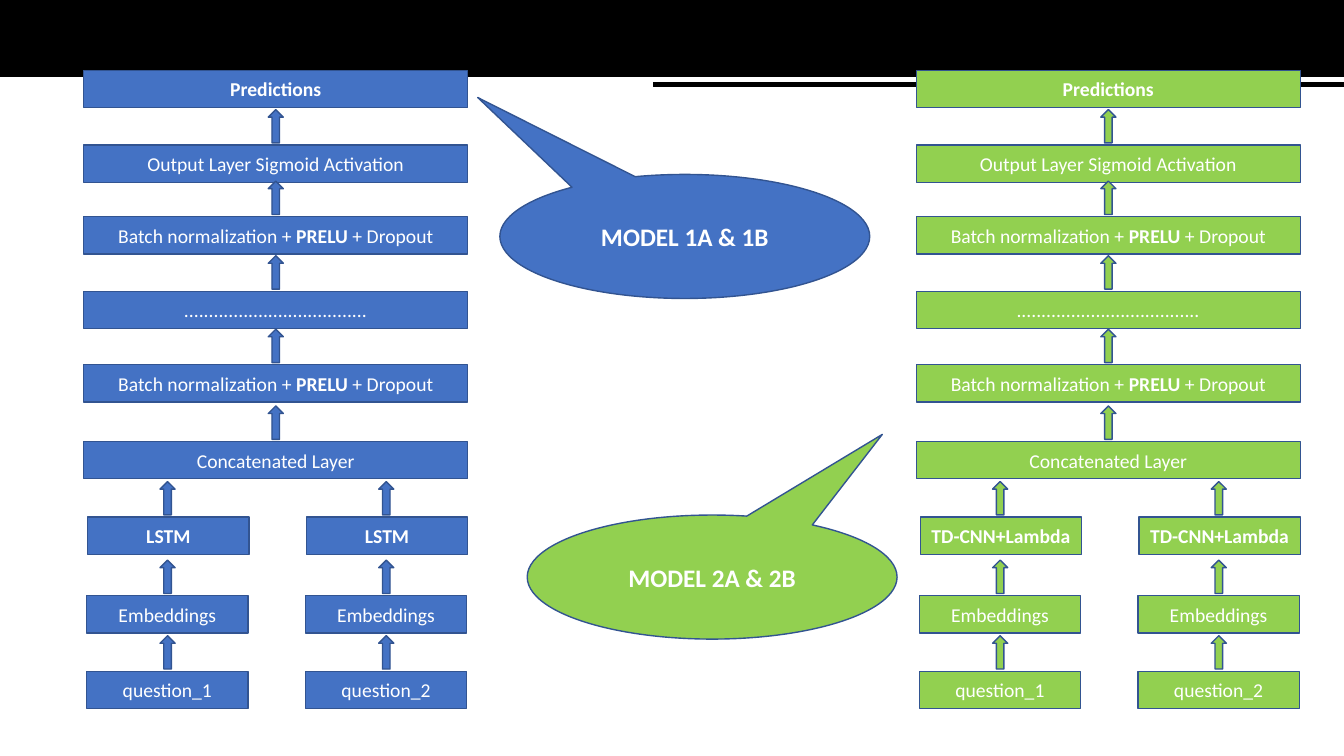
from pptx import Presentation
from pptx.dml import color
from pptx.enum import shapes, text
from pptx.util import Pt

COLORS = {
    "black": "000000",
    "white": "FFFFFF",
    "blue": "4472C4",
    "green": "92D050",
    "outline": "325491",
}
FONT = "Calibri"
SHAPE = shapes.MSO_SHAPE

BOX_HEIGHT = 26.6
LAYER_WIDTH = 274.3
BRANCH_WIDTH = 115.2
BRANCH_STEP = 156.2
ARROW_WIDTH, ARROW_HEIGHT = 10.8, 23.8
ARROW_RISE = 25.4
LAYER_ARROW_OFFSET = 131.8
BRANCH_ARROW_OFFSET = 54.5

ACTIVATION = [("Batch normalization + ", False), ("PRELU", True), (" + Dropout", False)]
LAYERS = [
    (50.4, [("Predictions", True)]),
    (103.7, [("Output Layer Sigmoid Activation", False)]),
    (154.8, ACTIVATION),
    (208.1, [("." * 37, False)]),
    (260.6, ACTIVATION),
    (315.4, [("Concatenated Layer", False)]),
]
ENCODER_TOP, EMBEDDING_TOP, QUESTION_TOP = 369.4, 425.5, 479.5


def rgb(name):
    return color.RGBColor.from_string(COLORS[name])


def add_block(slide, kind, left, top, width, height, fill, line="outline"):
    shape = slide.shapes.add_shape(kind, Pt(left), Pt(top), Pt(width), Pt(height))
    shape.shadow.inherit = False
    shape.fill.solid()
    shape.fill.fore_color.rgb = rgb(fill)
    shape.line.color.rgb = rgb(line)
    shape.line.width = Pt(1)
    return shape


def write_label(shape, runs, size):
    frame = shape.text_frame
    frame.word_wrap = True
    frame.margin_left = frame.margin_right = Pt(4)
    frame.vertical_anchor = text.MSO_ANCHOR.MIDDLE
    paragraph = frame.paragraphs[0]
    paragraph.alignment = text.PP_ALIGN.CENTER
    for content, bold in runs:
        run = paragraph.add_run()
        run.text = content
        run.font.name = FONT
        run.font.size = Pt(size)
        run.font.bold = bold
        run.font.color.rgb = rgb("white")


def add_box(slide, left, top, width, fill, runs):
    box = add_block(slide, SHAPE.RECTANGLE, left, top, width, BOX_HEIGHT, fill)
    write_label(box, runs, 14)


def add_arrow_above(slide, left, box_top, fill):
    add_block(slide, SHAPE.UP_ARROW, left, box_top - ARROW_RISE,
              ARROW_WIDTH, ARROW_HEIGHT, fill)


def add_callout(slide, left, top, fill, label, tip):
    callout = add_block(slide, SHAPE.OVAL_CALLOUT, left, top, 264.2, 88.6, fill)
    callout.adjustments[0], callout.adjustments[1] = tip
    write_label(callout, [(label, True)], 18)


def add_branch(slide, left, fill, encoder, question):
    rows = [
        (ENCODER_TOP, 2.9, encoder, True),
        (EMBEDDING_TOP, 2.2, "Embeddings", False),
        (QUESTION_TOP, 2.2, question, False),
    ]
    for top, indent, label, bold in rows:
        add_box(slide, left + indent, top, BRANCH_WIDTH, fill, [(label, bold)])
        add_arrow_above(slide, left + BRANCH_ARROW_OFFSET, top, fill)


def add_model(slide, left, fill, encoder):
    for index, (top, runs) in enumerate(LAYERS):
        add_box(slide, left, top, LAYER_WIDTH, fill, runs)
        if index:
            add_arrow_above(slide, left + LAYER_ARROW_OFFSET, top, fill)
    for index, question in enumerate(["question_1", "question_2"]):
        add_branch(slide, left + index * BRANCH_STEP, fill, encoder, question)


def main():
    presentation = Presentation()
    presentation.slide_width = Pt(960)
    presentation.slide_height = Pt(540)
    slide = presentation.slides.add_slide(presentation.slide_layouts[6])

    add_block(slide, SHAPE.RECTANGLE, 0, 0, 960, 54.7, "black", "black")
    add_block(slide, SHAPE.RECTANGLE, 466.6, 59, 493.4, 2.9, "black", "black")
    add_model(slide, 59.8, "blue", "LSTM")
    add_model(slide, 654.5, "green", "TD-CNN+Lambda")
    add_callout(slide, 357.1, 124.6, "blue", "MODEL 1A & 1B", (-0.56, -1.12))
    add_callout(slide, 376.6, 367.9, "green", "MODEL 2A & 2B", (0.46, -1.15))

    presentation.save("out.pptx")


main()
